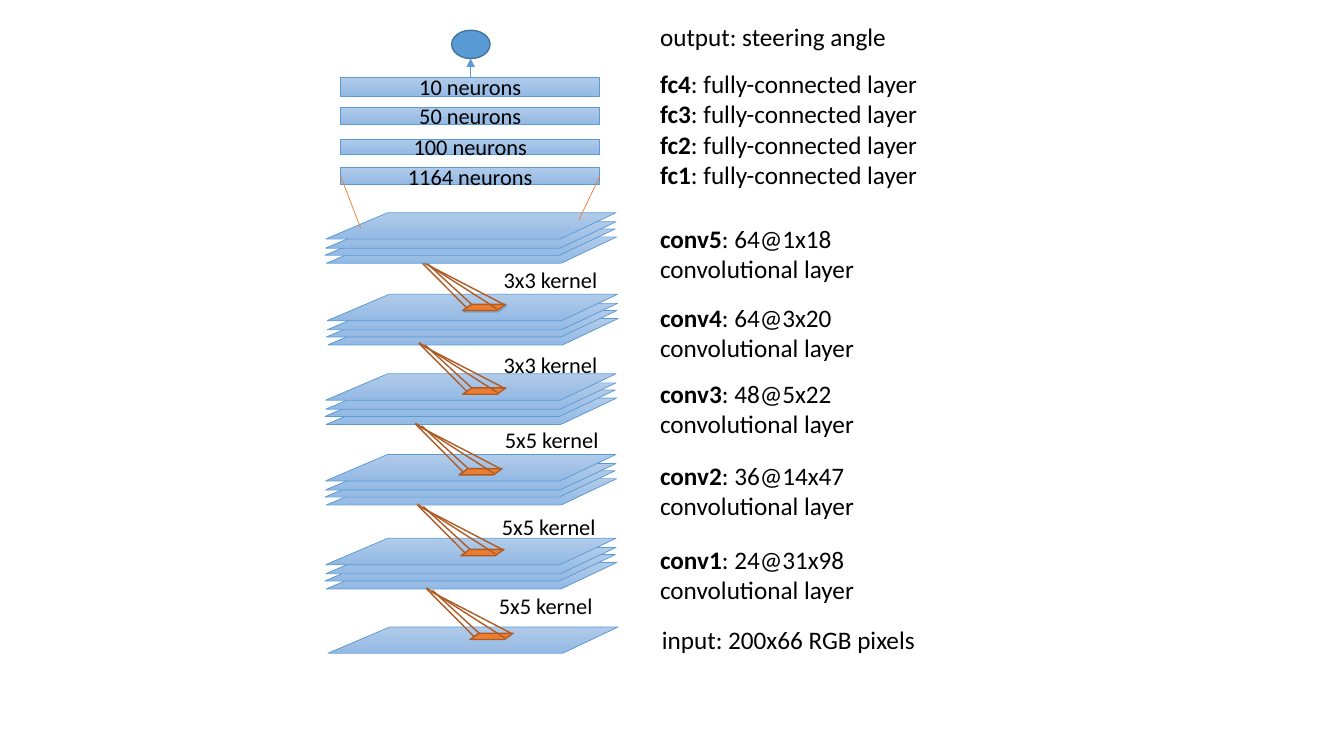
from pptx import Presentation
from pptx.dml.color import RGBColor
from pptx.enum.shapes import MSO_CONNECTOR as Connector, MSO_SHAPE as Shape
from pptx.enum.text import MSO_ANCHOR as Anchor, MSO_AUTO_SIZE as AutoSize, PP_ALIGN as Align
from pptx.oxml.ns import qn
from pptx.util import Pt
from lxml.etree import SubElement

BLACK = RGBColor(0x00, 0x00, 0x00)
BLUE = RGBColor(0x5B, 0x9B, 0xD5)
DARK_BLUE = RGBColor(0x43, 0x73, 0x9E)
LIGHT_TOP = RGBColor(0xB1, 0xCB, 0xE9)
LIGHT_BOTTOM = RGBColor(0x93, 0xB9, 0xE4)
ORANGE = RGBColor(0xED, 0x7D, 0x31)
BROWN = RGBColor(0xAF, 0x5C, 0x24)

# Outlines and ray ends, relative to the left top corner
SHEET = [(44.3, 0), (0, 18.9), (167.4, 18.9), (207.4, 0)]
PATCH = [(6.4, 0), (0, 4.5), (24.6, 4.5), (30.8, 0)]
STACK_OFFSETS = [(0.5, 17.3), (-0.5, 11.6), (0, 6.5), (0, 0)]
KERNEL_RAYS = [
    ((3.4, 2.9), (-31.2, -31.9)),
    ((6.5, 0), (-26.8, -30.6)),
    ((29.4, 0), (-28, -29.8)),
    ((24.6, 3.2), (-31.2, -32.4)),
]


class Diagram:
    font_name = "Calibri"

    def __init__(self, slide):
        self.slide = slide

    def paint(self, shape, fill_color, line_color, line_width):
        """Fill with one colour, or with the layer gradient when it is None."""
        shape.shadow.inherit = False
        if fill_color is None:
            shape.fill.gradient()
            shape.fill.gradient_angle = 270
            for stop, color in zip(shape.fill.gradient_stops, (LIGHT_TOP, LIGHT_BOTTOM)):
                stop.color.rgb = color
        else:
            shape.fill.solid()
            shape.fill.fore_color.rgb = fill_color
        shape.line.color.rgb = line_color
        shape.line.width = Pt(line_width)

    def style(self, paragraph, size):
        paragraph.font.name = self.font_name
        paragraph.font.size = Pt(size)
        paragraph.font.color.rgb = BLACK

    def outline(self, left, top, points, fill_color=None, line_color=BLUE, line_width=0.5):
        corners = [(Pt(left + x), Pt(top + y)) for x, y in points]
        builder = self.slide.shapes.build_freeform(*corners[0])
        builder.add_line_segments(corners[1:], close=True)
        self.paint(builder.convert_to_shape(), fill_color, line_color, line_width)

    def stack(self, left, top):
        for x, y in STACK_OFFSETS:
            self.outline(left + x, top + y, SHEET)

    def preset(self, kind, left, top, width, height,
               fill_color=None, line_color=BLUE, line_width=0.5):
        shape = self.slide.shapes.add_shape(kind, Pt(left), Pt(top), Pt(width), Pt(height))
        self.paint(shape, fill_color, line_color, line_width)
        return shape

    def neuron_bar(self, top, height, text):
        frame = self.preset(Shape.RECTANGLE, 243.4, top, 185, height).text_frame
        frame.vertical_anchor = Anchor.MIDDLE
        paragraph = frame.paragraphs[0]
        paragraph.text = text
        paragraph.alignment = Align.CENTER
        self.style(paragraph, 16)

    def line(self, start, end, color=BROWN, width=1, arrow=False):
        ends = [Pt(value) for value in (*start, *end)]
        connector = self.slide.shapes.add_connector(Connector.STRAIGHT, *ends)
        connector.line.color.rgb = color
        connector.line.width = Pt(width)
        if arrow:
            SubElement(connector.line._get_or_add_ln(), qn("a:tailEnd"), type="triangle")
        SubElement(connector._element.spPr, qn("a:effectLst"))

    def kernel(self, left, top):
        self.outline(left, top, PATCH, ORANGE, BROWN, 1)
        for (x1, y1), (x2, y2) in KERNEL_RAYS:
            self.line((left + x1, top + y1), (left + x2, top + y2))

    def label(self, left, top, width, height, lines, size=18):
        """Each line is a pair of bold name and plain text."""
        box = self.slide.shapes.add_textbox(Pt(left), Pt(top), Pt(width), Pt(height))
        frame = box.text_frame
        frame.word_wrap = False
        frame.auto_size = AutoSize.SHAPE_TO_FIT_TEXT
        for index, (name, text) in enumerate(lines):
            paragraph = frame.add_paragraph() if index else frame.paragraphs[0]
            self.style(paragraph, size)
            if name:
                run = paragraph.add_run()
                run.text = name
                run.font.bold = True
            paragraph.add_run().text = text


presentation = Presentation()
presentation.slide_width, presentation.slide_height = Pt(960), Pt(540)
slide = presentation.slides.add_slide(presentation.slide_layouts[6])
diagram = Diagram(slide)

# Input sheet and the first four convolutional stacks
diagram.outline(234.2, 447.8, SHEET)
for left, top in [(232.6, 384.5), (232.6, 324.6), (232.6, 267), (233.7, 210.2)]:
    diagram.stack(left, top)

# Kernels, with the topmost stack over their rays
diagram.outline(331.2, 218.4, PATCH)
for left, top in [(335.7, 452.3), (329.2, 392.4), (327.9, 334.7), (330.5, 277.1), (330.4, 217.4)]:
    diagram.kernel(left, top)
diagram.stack(232.6, 151.9)

# Fully-connected bars
for top, height, neurons in [(55.4, 13.3), (76.5, 12.2), (99.2, 11.2), (119.7, 12.2)] and [
        (55.4, 13.3, 10), (76.5, 12.2, 50), (99.2, 11.2, 100), (119.7, 12.2, 1164)]:
    diagram.neuron_bar(top, height, f"{neurons} neurons")
diagram.line((243.4, 126), (257.8, 163.4), ORANGE, 0.5)
diagram.line((428.4, 126), (413.5, 157), ORANGE, 0.5)

# Output node
diagram.preset(Shape.OVAL, 322.6, 21.6, 27.4, 20.2, BLUE, DARK_BLUE, 1)
diagram.line((336.2, 55.4), (336.2, 41.8), BLUE, 0.5, arrow=True)

# Layer labels
diagram.label(464.4, 11.5, 178, 29, [("", "output: steering angle")])
diagram.label(464.4, 45.4, 204, 94.5,
              [(f"fc{number}", ": fully-connected layer") for number in (4, 3, 2, 1)])
for name, top, size in [("conv5", 155.8, "64@1x18"), ("conv4", 212.4, "64@3x20"),
                        ("conv3", 266.4, "48@5x22"), ("conv2", 325, "36@14x47"),
                        ("conv1", 385.2, "24@31x98")]:
    diagram.label(464.4, top, 155, 51, [(name, f": {size}"), ("", "convolutional layer")])
diagram.label(465.8, 442.1, 202, 29, [("", "input: 200x66 RGB pixels")])

# Kernel labels
for left, top, size in [(352.6, 186.5, "3x3"), (352.6, 247.5, "3x3"), (353.5, 301, "5x5"),
                        (351.4, 363, "5x5"), (349.2, 419.2, "5x5")]:
    diagram.label(left, top, 82, 26.6, [("", f"{size} kernel")], 16)

presentation.save("out.pptx")
